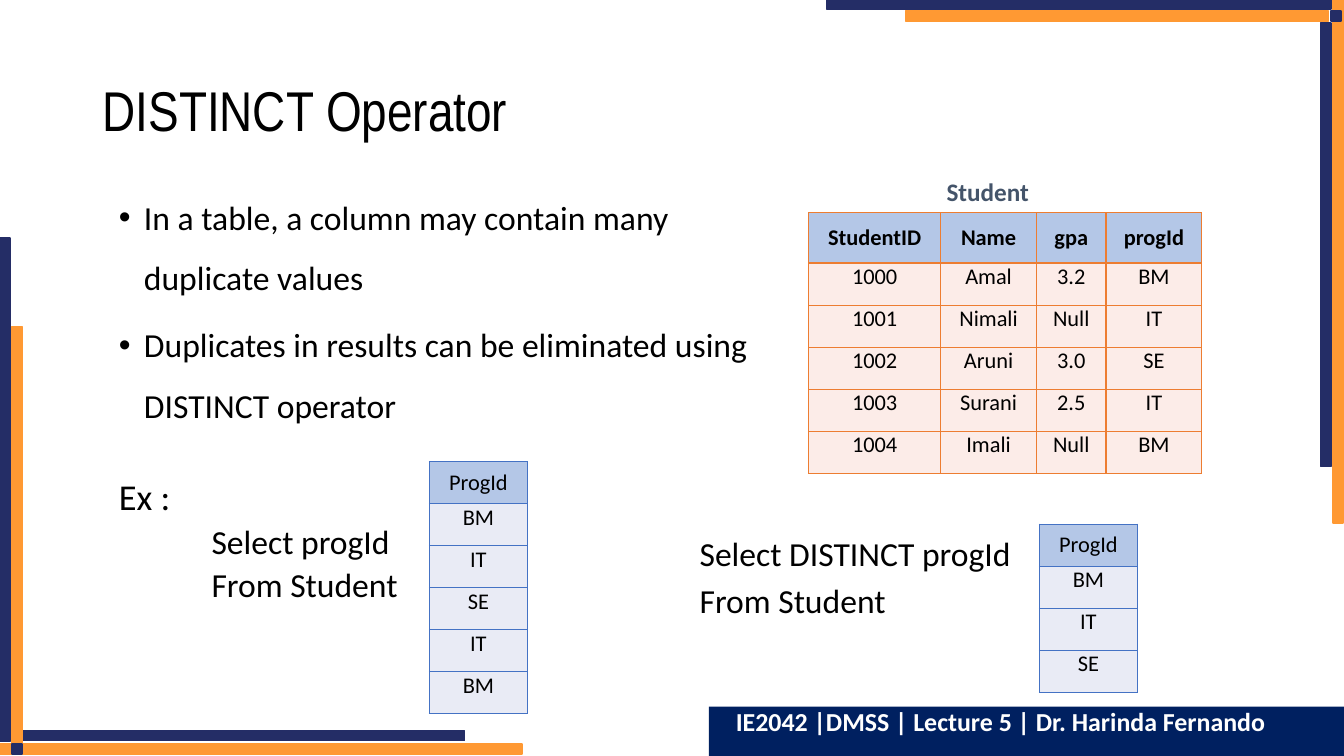
from lxml.etree import SubElement
from pptx import Presentation
from pptx.dml.color import RGBColor
from pptx.enum.shapes import MSO_SHAPE
from pptx.enum.text import MSO_ANCHOR, PP_ALIGN
from pptx.oxml.ns import qn
from pptx.util import Inches, Pt

BLACK = RGBColor(0x00, 0x00, 0x00)
WHITE = RGBColor(0xFF, 0xFF, 0xFF)
NAVY = RGBColor(0x24, 0x2D, 0x66)
ORANGE = RGBColor(0xFF, 0x99, 0x33)
FOOTER_BLUE = RGBColor(0x00, 0x20, 0x60)
SLATE = RGBColor(0x44, 0x54, 0x6A)
HEADER_BLUE = RGBColor(0xB4, 0xC7, 0xE7)
PALE_BLUE = RGBColor(0xE9, 0xEB, 0xF5)
PALE_ORANGE = RGBColor(0xFC, 0xEC, 0xE8)
GRID_BLUE = RGBColor(0x44, 0x72, 0xC4)
GRID_ORANGE = RGBColor(0xED, 0x7D, 0x31)


def write(frame, text, size=24, color=BLACK, font="Calibri", bold=False, align=PP_ALIGN.LEFT,
          spacing=1.0, before=0, indent=0, bullet=False):
    """Add one paragraph, filling the frame's first one while it is empty."""
    para = frame.add_paragraph() if frame.text else frame.paragraphs[0]
    properties = para._p.get_or_add_pPr()
    properties.set("marL", str(Inches(indent)))
    properties.set("indent", str(Inches(-0.25 if bullet else 0)))
    if bullet:
        SubElement(properties, qn("a:buFont")).set("typeface", "Arial")
        SubElement(properties, qn("a:buChar")).set("char", "•")
    para.alignment = align
    para.line_spacing = spacing
    para.space_before = Pt(before)
    span = para.add_run()
    span.text = text
    span.font.name = font
    span.font.size = Pt(size)
    span.font.bold = bold
    span.font.color.rgb = color


def add_grid(left, top, widths, header_height, rows, fill, border, bold_header=False):
    """Add a bordered table whose first row is the header."""
    heights = [header_height] + [0.417] * (len(rows) - 1)
    table = page.shapes.add_table(len(rows), len(widths), Inches(left), Inches(top),
                                  Inches(sum(widths)), Inches(sum(heights))).table
    table.first_row = table.horz_banding = False
    for column, width in zip(table.columns, widths):
        column.width = Inches(width)
    for r, (row, height) in enumerate(zip(rows, heights)):
        table.rows[r].height = Inches(height)
        for c, text in enumerate(row):
            cell = table.cell(r, c)
            cell.margin_left = cell.margin_right = Inches(0.1)
            cell.margin_top = cell.margin_bottom = 0
            cell.vertical_anchor = MSO_ANCHOR.TOP if r else MSO_ANCHOR.MIDDLE
            for side in ("a:lnL", "a:lnR", "a:lnT", "a:lnB"):
                line = SubElement(cell._tc.get_or_add_tcPr(), qn(side), w=str(Pt(1)))
                solid = SubElement(line, qn("a:solidFill"))
                SubElement(solid, qn("a:srgbClr"), val=str(border))
            cell.fill.solid()
            cell.fill.fore_color.rgb = fill if r else HEADER_BLUE
            write(cell.text_frame, text, size=16, bold=bold_header and r == 0,
                  align=PP_ALIGN.CENTER)


deck = Presentation()
deck.slide_width, deck.slide_height = Inches(13.33), Inches(7.5)
page = deck.slides.add_slide(deck.slide_layouts[6])

# Corner bars, then the footer band
bars = [
    (13.22, -0.01, 0.1, 5.2, ORANGE),
    (13.1, 0.23, 0.1, 4.4, NAVY),
    (8.2, -0.01, 5, 0.1, NAVY),
    (8.98, 0.11, 4.2, 0.1, ORANGE),
    (13.2, 0.11, 0.1, 0.1, NAVY),
    (-0.02, 7.38, 5.2, 0.1, ORANGE),
    (0.21, 7.25, 4.4, 0.1, NAVY),
    (0, 2.36, 0.1, 5, NAVY),
    (0.12, 3.24, 0.1, 4.2, ORANGE),
    (0.12, 7.38, 0.1, 0.1, NAVY),
    (7.03, 7.01, 6.3, 0.49, FOOTER_BLUE),
]
for left, top, width, height, color in bars:
    bar = page.shapes.add_shape(MSO_SHAPE.RECTANGLE, Inches(left), Inches(top),
                                Inches(width), Inches(height))
    bar.shadow.inherit = False
    bar.fill.solid()
    bar.fill.fore_color.rgb = color
    if color == FOOTER_BLUE:
        bar.line.fill.background()
    else:
        bar.line.color.rgb = color
        bar.line.width = Pt(1)
footer = bar.text_frame
footer.word_wrap = True
footer.vertical_anchor = MSO_ANCHOR.TOP
write(footer, "IE2042 |DMSS | Lecture 5 | Dr. Harinda Fernando", size=18.5, color=WHITE,
      bold=True, spacing=0.8, indent=0.17)

# Text boxes
frames = []
for left, top, width, height, wrap in [(0.92, 0.4, 11.5, 1.45, True), (1, 1.7, 6.53, 4.5, True),
                                       (6.84, 5.24, 3.31, 1.26, False),
                                       (9.29, 1.7, 1.03, 0.4, False)]:
    box = page.shapes.add_textbox(Inches(left), Inches(top), Inches(width), Inches(height))
    box.text_frame.word_wrap = wrap
    frames.append(box.text_frame)
title, body, distinct_query, table_name = frames

title.vertical_anchor = MSO_ANCHOR.MIDDLE
write(title, "DISTINCT Operator", size=40, font="Arial Narrow", spacing=0.9)
write(body, "In a table, a column may contain many duplicate values",
      spacing=1.5, indent=0.33, bullet=True)
write(body, "Duplicates in results can be eliminated using DISTINCT operator",
      spacing=1.5, before=5, indent=0.33, bullet=True)
write(body, "Ex :", size=26, spacing=0.9, before=38.5, indent=0.08)
for query_line in ("Select progId", "From Student"):
    write(body, query_line, spacing=0.9, before=5, indent=1)
write(distinct_query, "Select DISTINCT progId")
write(distinct_query, "From Student", before=4.8)
write(table_name, "Student", size=18, color=SLATE, bold=True)

# Source table and the two query results
students = [
    ("StudentID", "Name", "gpa", "progId"),
    ("1000", "Amal", "3.2", "BM"),
    ("1001", "Nimali", "Null", "IT"),
    ("1002", "Aruni", "3.0", "SE"),
    ("1003", "Surani", "2.5", "IT"),
    ("1004", "Imali", "Null", "BM"),
]
add_grid(8.02, 2.11, [1.31, 0.95, 0.69, 0.95], 0.5, students, PALE_ORANGE, GRID_ORANGE,
         bold_header=True)
programs = [row[3] for row in students[1:]]
for left, top, values in [(4.26, 4.58, programs), (10.31, 5.2, dict.fromkeys(programs))]:
    add_grid(left, top, [0.97], 0.417, [("ProgId",)] + [(value,) for value in values],
             PALE_BLUE, GRID_BLUE)

deck.save("out.pptx")
